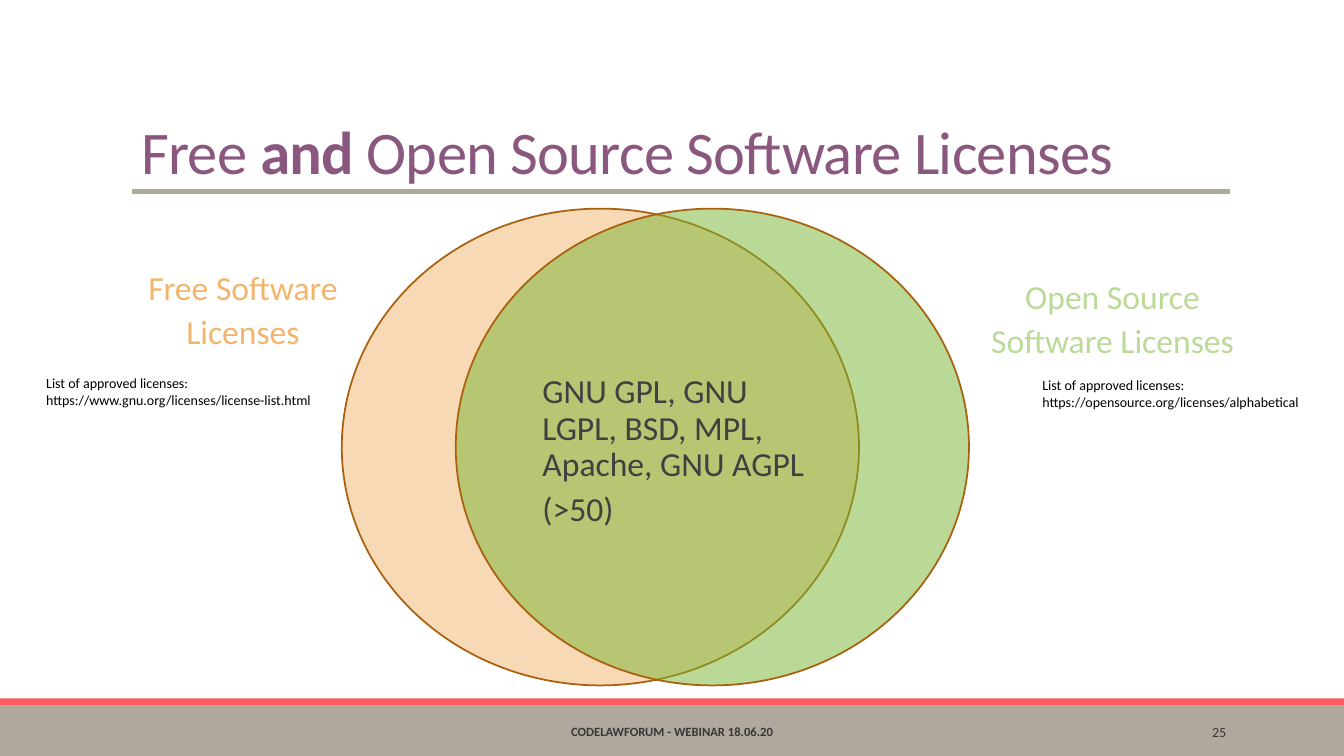
"""Build a slide with a Venn diagram of free and open source software licenses."""
from dataclasses import dataclass

from lxml.etree import SubElement
from pptx import Presentation
from pptx.dml.color import RGBColor
from pptx.enum.shapes import MSO_CONNECTOR, MSO_SHAPE
from pptx.enum.text import MSO_ANCHOR, MSO_AUTO_SIZE, PP_ALIGN
from pptx.oxml.ns import qn
from pptx.util import Pt

PX = 9144


@dataclass(frozen=True)
class Theme:
    font: str = "Calibri"
    title: str = "8A587F"
    body: str = "404040"
    footer: str = "373737"
    black: str = "000000"
    band: str = "AFA89D"
    accent: str = "F95D62"
    outline: str = "A9610D"
    free: str = "F3B56C"
    open: str = "76B531"
    open_label: str = "BBDA98"
    title_size: float = 43.2
    body_size: int = 24
    note_size: int = 10
    footer_size: int = 9


theme = Theme()
presentation = Presentation()
presentation.slide_width = 1333 * PX
presentation.slide_height = 750 * PX
slide = presentation.slides.add_slide(presentation.slide_layouts[5])


def add_text(text, *, box, size, color, shape=None, align=PP_ALIGN.LEFT,
             anchor=MSO_ANCHOR.TOP, inset=10, wrap=True, indent=0,
             line_spacing=1, before=0, after=0, tracking=0):
    """Write paragraphs split at line ends, with words between asterisks in bold."""
    left, top, width, height = (value * PX for value in box)
    shape = shape or slide.shapes.add_textbox(left, top, width, height)
    shape.left, shape.top, shape.width, shape.height = left, top, width, height
    frame = shape.text_frame
    frame.auto_size = MSO_AUTO_SIZE.NONE
    frame.word_wrap = wrap
    frame.vertical_anchor = anchor
    frame.margin_left = frame.margin_right = inset * PX
    frame.margin_top = frame.margin_bottom = 5 * PX
    for index, line in enumerate(text.split("\n")):
        paragraph = frame.add_paragraph() if index else frame.paragraphs[0]
        paragraph.alignment = align
        paragraph.line_spacing = line_spacing
        paragraph.space_before, paragraph.space_after = Pt(before), Pt(after)
        paragraph._p.get_or_add_pPr().set("marL", str(indent * PX))
        for part, words in enumerate(line.split("*")):
            if not words:
                continue
            run = paragraph.add_run()
            run.text = words
            run.font.name = theme.font
            run.font.size = Pt(size)
            run.font.bold = part % 2 == 1
            run.font.color.rgb = RGBColor.from_string(color)
            if tracking:
                run._r.get_or_add_rPr().set("spc", str(tracking))


def add_filled(kind, box, color):
    """Add a preset shape with a solid fill and no outline."""
    shape = slide.shapes.add_shape(kind, *(value * PX for value in box))
    shape.shadow.inherit = False
    shape.fill.solid()
    shape.fill.fore_color.rgb = RGBColor.from_string(color)
    shape.line.fill.background()
    return shape


add_filled(MSO_SHAPE.RECTANGLE, (0, 700, 1333, 50), theme.band)
add_filled(MSO_SHAPE.RECTANGLE, (0, 693, 1333, 7), theme.accent)

title_rule = slide.shapes.add_connector(
    MSO_CONNECTOR.STRAIGHT, 131 * PX, 190 * PX, 1220 * PX, 190 * PX)
title_rule.line.width = Pt(3)
title_rule.line.color.rgb = RGBColor.from_string(theme.band)
SubElement(title_rule._element.spPr, qn("a:effectLst"))

for left, width, color in ((339, 513, theme.free), (452, 509, theme.open)):
    circle = add_filled(MSO_SHAPE.OVAL, (left, 207, width, 473), color)
    circle.line.width = Pt(1.25)
    circle.line.color.rgb = RGBColor.from_string(theme.outline)
    color_node = circle._element.spPr.find(qn("a:solidFill"))[0]
    SubElement(color_node, qn("a:alpha"), val="50000")

add_text("Free *and* Open Source Software Licenses", shape=slide.shapes.title,
         box=(130, 31, 1079, 159), size=theme.title_size, color=theme.title,
         anchor=MSO_ANCHOR.BOTTOM, line_spacing=0.85, tracking=-50)

label_format = dict(size=theme.body_size, indent=22, line_spacing=0.9,
                    before=2, after=4)
add_text("GNU GPL, GNU LGPL, BSD, MPL, Apache, GNU AGPL\n(>50)",
         box=(516, 367, 301, 152), color=theme.body, inset=0, **label_format)
add_text("Free Software\nLicenses", box=(112, 264, 236, 95),
         color=theme.free, align=PP_ALIGN.CENTER, **label_format)
add_text("Open Source\nSoftware Licenses", box=(941, 273, 303, 91),
         color=theme.open_label, align=PP_ALIGN.CENTER, **label_format)

for address, box in (
        ("https://www.gnu.org/licenses/license-list.html", (36, 367, 287, 44)),
        ("https://opensource.org/licenses/alphabetical", (1024, 369, 279, 44))):
    add_text(f"List of approved licenses:\n{address}", box=box,
             size=theme.note_size, color=theme.black, wrap=False)

add_text("*CODELAWFORUM - WEBINAR 18.06.20*", box=(403, 706, 527, 40),
         size=theme.footer_size, color=theme.footer,
         align=PP_ALIGN.CENTER, anchor=MSO_ANCHOR.MIDDLE)
add_text("25", box=(1083, 706, 143, 40), size=theme.note_size,
         color=theme.footer, align=PP_ALIGN.RIGHT, anchor=MSO_ANCHOR.MIDDLE)

presentation.save("out.pptx")
